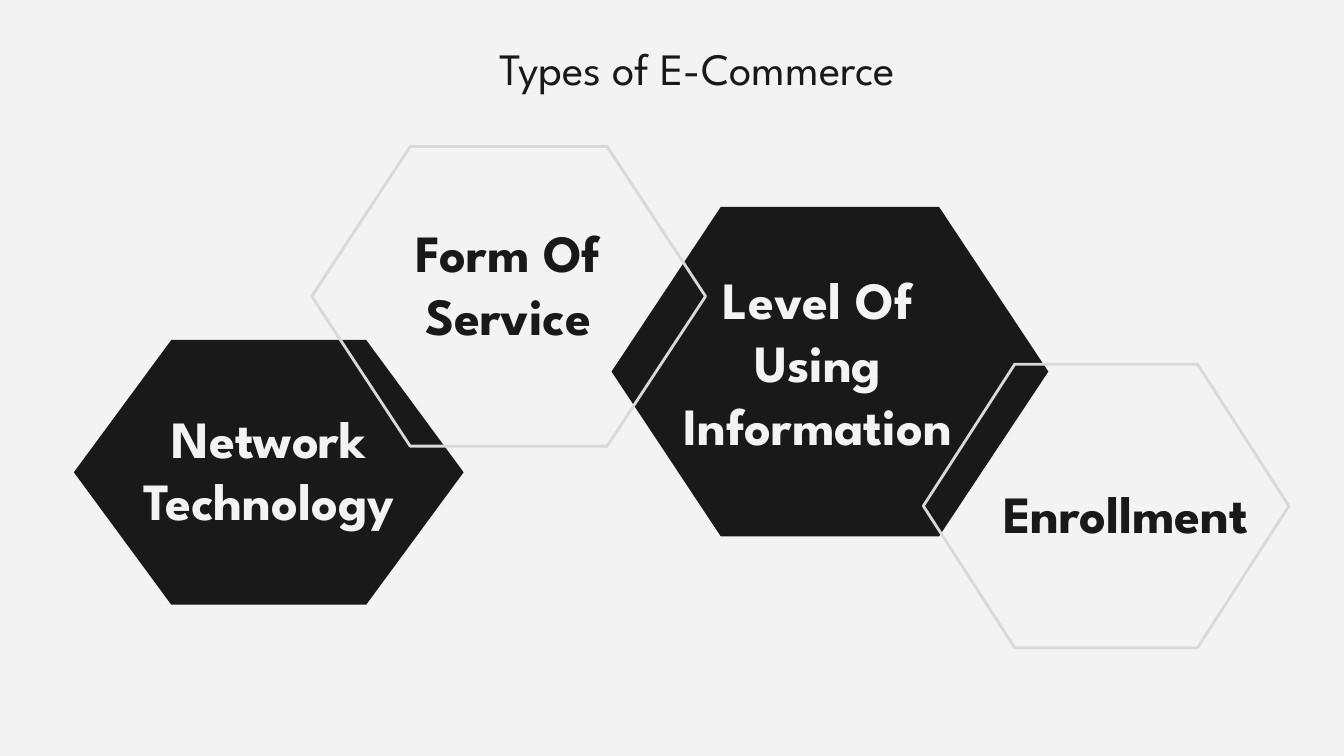
from pptx import Presentation
from pptx.dml.color import RGBColor
from pptx.enum.text import MSO_ANCHOR, MSO_AUTO_SIZE, PP_ALIGN
from pptx.util import Inches, Pt

CENTER = PP_ALIGN.CENTER
TOP = MSO_ANCHOR.TOP
NO_AUTOFIT = MSO_AUTO_SIZE.NONE
TITLE_ONLY = 5
FONT = "League Spartan"
COLORS = {"paper": "F3F3F3", "ink": "191919", "outline": "D9D9D9"}


def color(name):
    return RGBColor.from_string(COLORS[name])


def write_text(frame, text, size=28, bold=True, ink="ink"):
    frame.word_wrap = True
    frame.auto_size = NO_AUTOFIT
    frame.vertical_anchor = TOP
    frame.margin_left = frame.margin_right = Inches(0.1)
    frame.margin_top = frame.margin_bottom = Inches(0.1)
    paragraph = frame.paragraphs[0]
    paragraph.alignment = CENTER
    run = paragraph.add_run()
    run.text = text
    run.font.name = FONT
    run.font.size = Pt(size)
    run.font.bold = bold
    run.font.color.rgb = color(ink)


class SlideBuilder:
    def __init__(self, presentation):
        self.slide = presentation.slides.add_slide(presentation.slide_layouts[TITLE_ONLY])
        background = self.slide.background.fill
        background.solid()
        background.fore_color.rgb = color("paper")

    def title(self, text, left, top, width, height):
        shape = self.slide.shapes.title
        shape.left, shape.top = Inches(left), Inches(top)
        shape.width, shape.height = Inches(width), Inches(height)
        write_text(shape.text_frame, text, size=24, bold=False)

    def hexagon(self, left, top, width, height, filled):
        right, bottom, middle = left + width, top + height, top + height / 2
        inner_left, inner_right = left + width / 4, right - width / 4
        points = [
            (left, middle), (inner_left, bottom), (inner_right, bottom),
            (right, middle), (inner_right, top),
        ]
        builder = self.slide.shapes.build_freeform(Inches(inner_left), Inches(top))
        builder.add_line_segments([(Inches(x), Inches(y)) for x, y in points], close=True)
        shape = builder.convert_to_shape()
        shape.shadow.inherit = False
        if filled:
            shape.fill.solid()
            shape.fill.fore_color.rgb = color("ink")
            shape.line.fill.background()
        else:
            shape.fill.background()
            shape.line.color.rgb = color("outline")
            shape.line.width = Pt(1.5)

    def label(self, text, left, top, width, ink):
        box = self.slide.shapes.add_textbox(
            Inches(left), Inches(top), Inches(width), Inches(0.4))
        write_text(box.text_frame, text, ink=ink)


def main():
    presentation = Presentation()
    presentation.slide_width = Inches(10)
    presentation.slide_height = Inches(10) * 9 // 16
    builder = SlideBuilder(presentation)

    builder.title("Types of E-Commerce", 3.14, 0.2, 4.1, 0.75)
    builder.hexagon(0.55, 2.53, 2.9, 1.97, filled=True)
    builder.hexagon(4.55, 1.54, 3.25, 2.45, filled=True)
    builder.label("Network Technology", 0.84, 2.92, 2.32, "paper")
    builder.hexagon(2.32, 1.09, 2.93, 2.23, filled=False)
    builder.label("Form Of Service", 2.63, 1.54, 2.3, "ink")
    builder.label("Enrollment", 7.25, 3.48, 2.25, "ink")
    builder.hexagon(6.87, 2.71, 2.72, 2.11, filled=False)
    builder.label("Level Of Using Information", 4.83, 1.89, 2.51, "paper")

    presentation.save("out.pptx")


if __name__ == "__main__":
    main()
